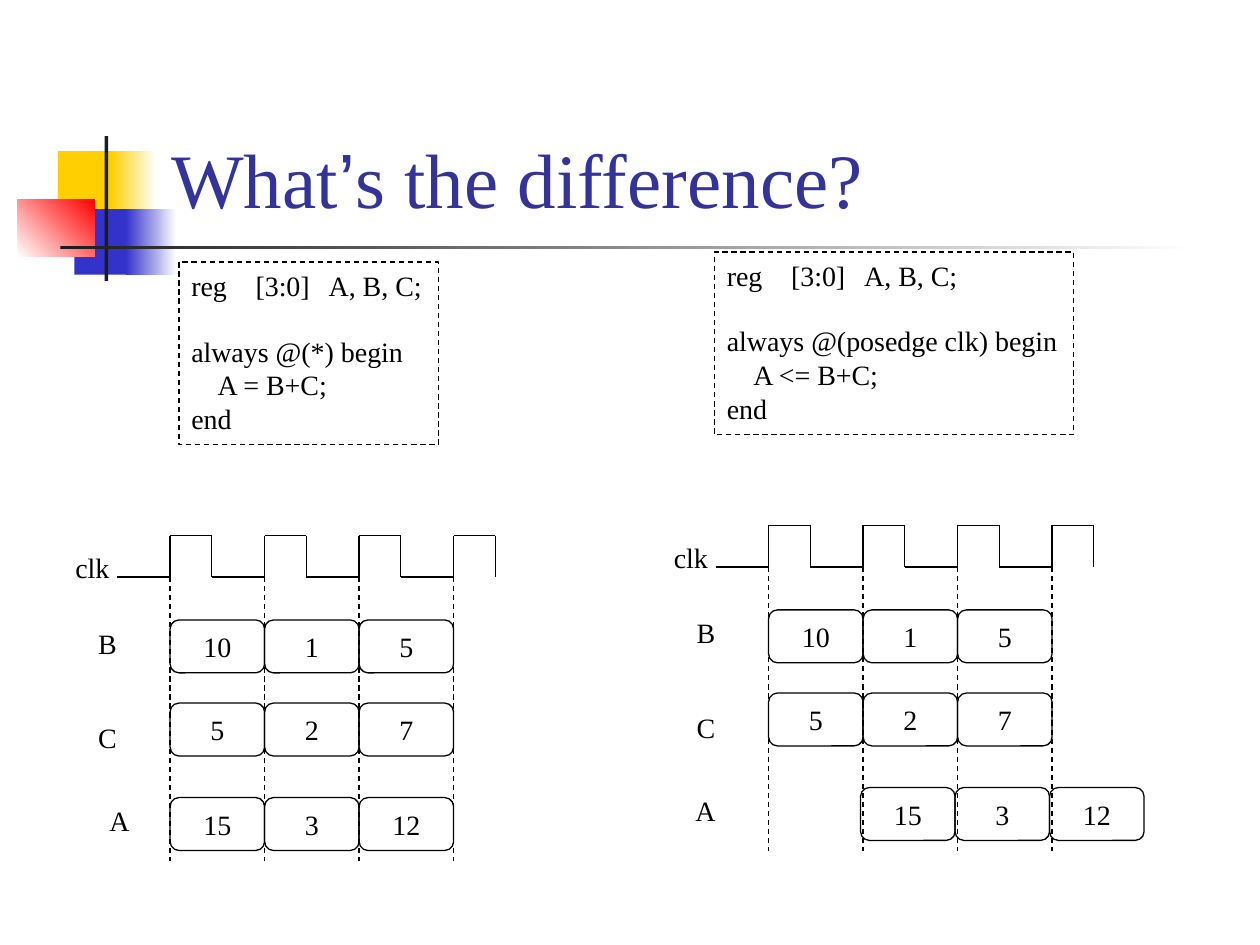
"""Build a slide comparing combinational and clocked assignment timing."""
from lxml import etree
from pptx import Presentation
from pptx.dml.color import RGBColor
from pptx.enum.dml import MSO_LINE
from pptx.enum.shapes import MSO_CONNECTOR, MSO_SHAPE
from pptx.enum.text import MSO_ANCHOR, PP_ALIGN
from pptx.oxml.ns import qn
from pptx.util import Inches, Pt

RECT, ROUND = MSO_SHAPE.RECTANGLE, MSO_SHAPE.ROUNDED_RECTANGLE
STRAIGHT, DASH = MSO_CONNECTOR.STRAIGHT, MSO_LINE.DASH
TOP, MIDDLE, BOTTOM = MSO_ANCHOR.TOP, MSO_ANCHOR.MIDDLE, MSO_ANCHOR.BOTTOM
LEFT, CENTER = PP_ALIGN.LEFT, PP_ALIGN.CENTER
SERIF, INK, SIZE = "Times New Roman", "000000", 16

TITLE = [("What", SERIF), ("\u2019", "Arial"), ("s the difference?", SERIF)]
DECOR = [
    ((0.46, 1.2, 0.48, 0.52), ["FFCF01"], 0),
    ((0.88, 1.2, 0.36, 0.52), ["FFCF01", "FFFFFF"], 0),
    ((0.59, 1.66, 0.46, 0.52), ["3333CC"], 0),
    ((1, 1.66, 0.4, 0.52), ["3333CC", "FFFFFF"], 0),
    ((0.14, 1.58, 0.61, 0.46), ["FFFFFF", "FF0000"], 45),
    ((0.83, 1.08, 0.03, 1.15), ["1C1C1C"], 0),
    ((0.48, 1.95, 9, 0.03), ["1C1C1C", "FFFFFF"], 0),
]
DECLARE = "reg\t[3:0]\tA, B, C;"
CODES = [
    ((1.42, 2.08, 2.06, 1.45), "always @(*) begin", "A = B+C;"),
    ((5.67, 2, 2.85, 1.45), "always @(posedge clk) begin", "A <= B+C;"),
]
TABS, INDENT, GAP = (0.51, 1.09), 0.21, 18.4
ROWS = [
    (0.67, ["10", "1", "5"]),
    (1.33, ["5", "2", "7"]),
    (2.08, ["15", "3", "12"]),
]
LABELS = [("B", -0.67, 0.67, 0.35), ("C", -0.67, 1.42, 0.35),
          ("clk", -0.85, 0.07, 0.47)]
CHARTS = [(1.35, 4.25, 0, -0.58), (6.1, 4.17, 0.73, -0.68)]
PERIOD, HIGH, RISE, LEAD, CYCLES = 0.75, 0.33, 0.33, 0.42, 4
CELL, DEPTH = 0.42, 2.58


def color(code):
    return RGBColor.from_string(code)


def stroke(line, dash=False):
    line.color.rgb = color(INK)
    line.width = Pt(0.75)
    if dash:
        line.dash_style = DASH


def write(para, text, font=SERIF, size=SIZE, ink=INK):
    run = para.add_run()
    run.text = text
    run.font.name = font
    run.font.size = Pt(size)
    run.font.color.rgb = color(ink)


def block(shapes, box, kind=RECT):
    shape = shapes.add_shape(kind, *map(Inches, box))
    shape.shadow.inherit = False
    shape.fill.background()
    shape.line.fill.background()
    return shape


def wire(shapes, start, end, dash=False):
    line = shapes.add_connector(STRAIGHT, *map(Inches, start + end))
    stroke(line.line, dash)
    etree.SubElement(line.element.spPr, qn("a:effectLst"))


def decorate(shapes):
    for box, hues, angle in DECOR:
        fill = block(shapes, box).fill
        if len(hues) == 1:
            fill.solid()
            fill.fore_color.rgb = color(hues[0])
            continue
        fill.gradient()
        fill.gradient_angle = angle
        for stop, hue, place in zip(fill.gradient_stops, hues, (0, 1)):
            stop.color.rgb = color(hue)
            stop.position = place


def code(shapes, box, head, body):
    shape = block(shapes, box)
    stroke(shape.line, True)
    frame = shape.text_frame
    frame.word_wrap = True
    frame.margin_right = 0
    frame.vertical_anchor = TOP
    for i, text in enumerate([DECLARE, head, body, "end"]):
        para = frame.paragraphs[0] if i == 0 else frame.add_paragraph()
        para.alignment = LEFT
        props = para._p.get_or_add_pPr()
        if text == head:
            para.space_before = Pt(GAP)
        if text == body:
            props.set("marL", str(Inches(INDENT)))
        if text == DECLARE:
            stops = etree.SubElement(props, qn("a:tabLst"))
            for tab in TABS:
                etree.SubElement(stops, qn("a:tab"), pos=str(Inches(tab)), algn="l")
        write(para, text)


def cell(shapes, left, top, text):
    shape = block(shapes, (left, top, PERIOD, CELL), ROUND)
    shape.adjustments[0] = 0.167
    stroke(shape.line)
    frame = shape.text_frame
    frame.word_wrap = False
    frame.vertical_anchor = MIDDLE
    para = frame.paragraphs[0]
    para.alignment = CENTER
    write(para, text)


def label(shapes, left, top, width, text):
    box = shapes.add_textbox(*map(Inches, (left, top, width, 0.37)))
    frame = box.text_frame
    frame.word_wrap = True
    frame.margin_right = 0
    write(frame.paragraphs[0], text)


def timing(shapes, left, top, delay, shift):
    low = top + RISE
    edges = [left + i * PERIOD for i in range(CYCLES)]
    wave = [(left - LEAD, low)]
    for x in edges:
        wave += [(x, low), (x, top), (x + HIGH, top), (x + HIGH, low)]
    for start, end in zip(wave, wave[1:]):
        wire(shapes, start, end)
    for x in edges:
        wire(shapes, (x, low), (x, top + DEPTH), True)
    for y, values in ROWS:
        late = delay if y == ROWS[-1][0] else 0
        for x, value in zip(edges, values):
            cell(shapes, x + late, top + y, value)
    for text, x, y, width in LABELS + [("A", shift, 2.08, 0.36)]:
        label(shapes, left + x, top + y, width, text)


def main():
    deck = Presentation()
    deck.slide_width, deck.slide_height = Inches(10), Inches(7.5)
    slide = deck.slides.add_slide(deck.slide_layouts[5])
    shapes = slide.shapes
    decorate(shapes)
    title = shapes.title
    title.element.getparent().append(title.element)
    title.left, title.top, title.width, title.height = map(
        Inches, (1.26, 0.23, 8.52, 1.6))
    title.text_frame.vertical_anchor = BOTTOM
    para = title.text_frame.paragraphs[0]
    para.alignment = LEFT
    for text, font in TITLE:
        write(para, text, font, 44, "333399")
    for item in CODES:
        code(shapes, *item)
    for item in CHARTS:
        timing(shapes.add_group_shape().shapes, *item)
    deck.save("out.pptx")


main()
